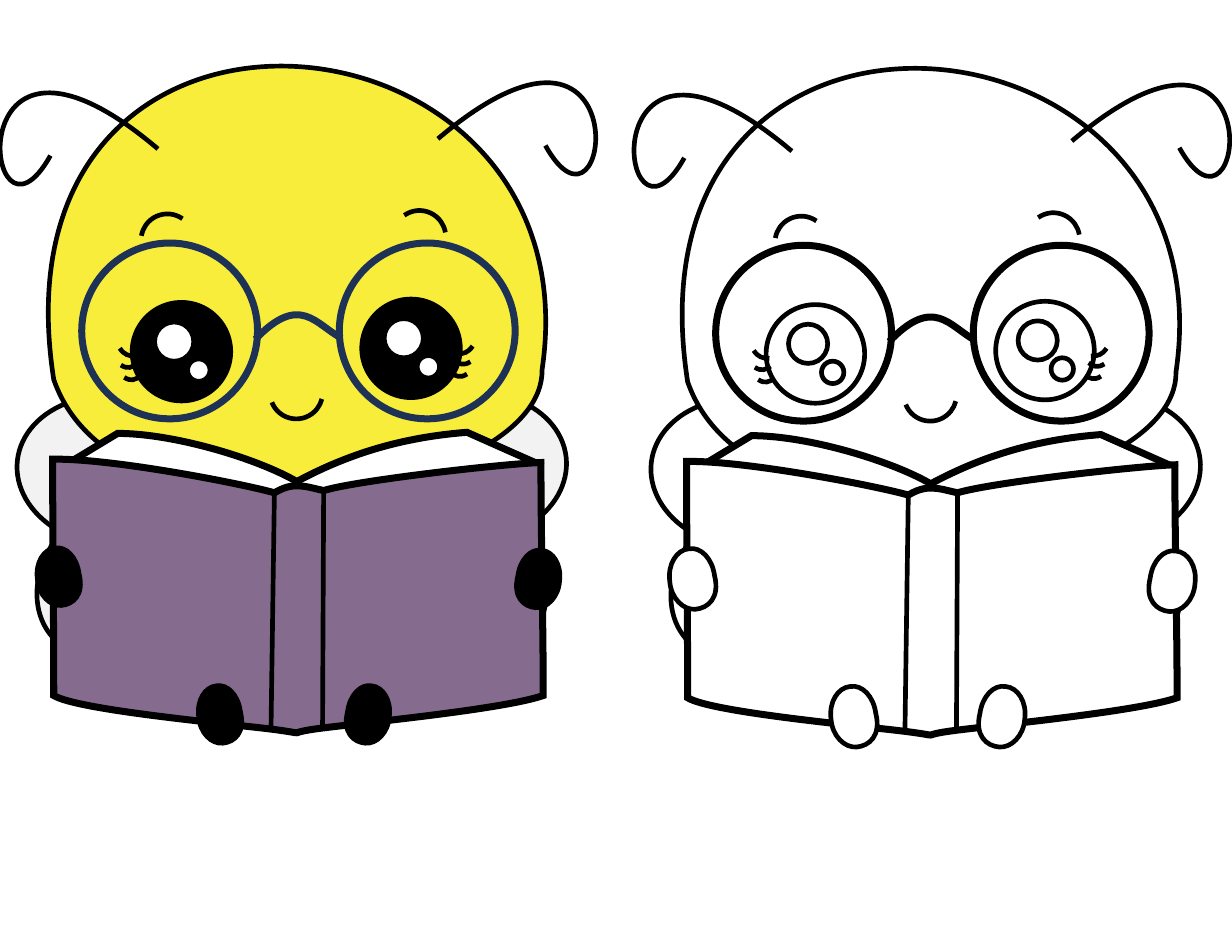
from dataclasses import dataclass
from typing import Optional, Union

from lxml.etree import SubElement
from pptx import Presentation
from pptx.dml.color import RGBColor
from pptx.enum.shapes import MSO_CONNECTOR as Connector, MSO_SHAPE as Preset
from pptx.oxml.ns import qn
from pptx.util import Inches, Pt

SLIDE_WIDTH, SLIDE_HEIGHT = Inches(11), Inches(8.5)
COLUMNS = 1100  # all lengths below are cells of a 1100 x 850 grid
CELL = SLIDE_WIDTH // COLUMNS
THIN, MEDIUM, THICK = 1, 3, 4.5
CURVE_STEPS = 24

COLORS = {"black": "000000", "white": "FFFFFF", "mist": "F2F2F2",
          "yellow": "F8ED3B", "plum": "856C8E", "navy": "1E3256"}


@dataclass(frozen=True)
class Scheme:
    """Where a bee sits and which colour each of its parts takes."""
    origin: tuple
    paints: dict
    limb_width: float


@dataclass(frozen=True)
class Preformed:
    kind: Preset
    box: tuple
    fill: Optional[str] = None
    line: str = "ink"
    width: float = MEDIUM
    turn: float = 0
    angles: tuple = ()


@dataclass(frozen=True)
class Outline:
    """A start point, then segments: 2 numbers for a line, 6 for a curve."""
    start: tuple
    segments: tuple
    fill: Optional[str] = None
    line: str = "ink"
    width: Optional[float] = MEDIUM
    closed: bool = False


@dataclass(frozen=True)
class Stroke:
    start: tuple
    end: tuple


Part = Union[Preformed, Outline, Stroke]


def pairs(numbers: tuple) -> list:
    return list(zip(numbers[::2], numbers[1::2]))


def placed(outline: Outline, x: float, y: float, mirror: Optional[float] = None) -> Outline:
    """Move an outline to x, y; mirror is the width it is reflected within."""
    def move(numbers: tuple) -> tuple:
        return tuple(n for px, py in pairs(numbers)
                     for n in (x + (px if mirror is None else mirror - px), y + py))
    return Outline(move(outline.start), tuple(move(s) for s in outline.segments),
                   outline.fill, outline.line, outline.width, outline.closed)


def oval(x: float, y: float, w: float, h: float, **style) -> Preformed:
    return Preformed(Preset.OVAL, (x, y, w, h), **style)


def arc(x: float, y: float, turn: float, angles: tuple) -> Preformed:
    return Preformed(Preset.ARC, (x, y, 47, 47), turn=turn, angles=angles)


def wing(x: float, y: float, turn: float, fill: str = "wing") -> Preformed:
    return oval(x, y, 168, 133, turn=turn, fill=fill)


def eye(x: float, y: float) -> list:
    return [oval(x, y, 88, 88, fill="eye"),
            oval(x + 20, y + 17.5, 35, 35, fill="page"),
            oval(x + 49.5, y + 50.5, 20, 20, fill="page")]


ANTENNA = Outline((141, 50), ((-43, -106, -14, 162, 45, 56),))
LASH = Outline((14, 0), ((10, 3, 6, 5, 0, 1),))
TOP_LASH = Outline((14, 7), ((8, 7, 4, 6, 0, 0),))
LIMB = Outline((0, 30), ((1, 45, 12, 56, 23, 55), (34, 54, 45, 45, 40, 25),
                         (38, 10, 28, -1, 17, 1), (6, 2, -2, 15, 0, 30)),
               fill="limb", width=None, closed=True)


def lashes(places: tuple, mirror: Optional[float] = None) -> list:
    return [placed(shape, x, y, mirror)
            for shape, (x, y) in zip((LASH, LASH, TOP_LASH), places)]


BEE: list[Part] = [
    wing(327, 445, 40.8, "low wing"), wing(338, 351, 353.6),
    wing(26, 447, 319.2), wing(15, 354, 6.4),
    Outline((167, 345), ((381, 332), (344, 428, 554, 521, 261, 625),
                         (-22, 537, 183, 386, 167, 345)), "body", closed=True),
    Outline((48, 339), ((-14, -58, 534, -7, 484, 330),
                        (486, 443, 107, 508, 48, 339)), "face", closed=True),
    placed(ANTENNA, 0, 83),
    arc(241, 327, 158.3, (129.4, 0)),
    *eye(118, 270),
    *lashes(((111, 336), (108, 325), (107, 311))),
    arc(126, 191, 305.2, (146.74, 0)),
    placed(ANTENNA, 391, 74, mirror=141),
    *eye(323, 267),
    *lashes(((403, 333), (406, 322), (408, 309)), mirror=14),
    arc(351, 188, 54.8, (108, 177.26)),
    Outline((123, 443), ((126, 445), (203, 496, 294, 501, 392, 457), (408, 450),
                         (412, 458), (417, 473, 421, 488, 420, 503), (418, 510),
                         (415, 511), (350, 538, 256, 585, 125, 512), (111, 503),
                         (110, 498), (110, 481, 114, 464, 121, 448), (123, 443)),
            "ink", closed=True),
    Outline((105, 387), ((156, 387, 231, 410, 265, 430), (317, 402, 366, 390, 417, 386),
                         (480, 414), (459, 434, 179, 480, 52, 419), (105, 387)),
            "page", width=THICK, closed=True),
    Outline((47, 410), ((99, 409, 217, 432, 245, 440), (262, 430, 271, 434, 289, 438),
                        (318, 429, 450, 414, 483, 413), (483, 482, 485, 552, 485, 621),
                        (451, 633, 328, 645, 288, 650), (248, 655, 282, 656, 242, 651),
                        (202, 646, 69, 634, 48, 621), (48, 551, 47, 480, 47, 410)),
            "cover", width=THICK, closed=True),
    Stroke((245, 440), (242, 651)), Stroke((289, 438), (288, 650)),
    *[oval(x, 217, 157, 157, line="frame", width=THICK) for x in (73, 303)],
    Outline((228, 303), ((268, 261, 282, 290, 305, 302),), line="frame", width=THICK),
    placed(LIMB, 32, 487), placed(LIMB, 460, 489, mirror=41),
    placed(LIMB, 176, 610), placed(LIMB, 308, 610, mirror=41),
]

COLORED = Scheme((0, 0), {
    "ink": "black", "low wing": "mist", "wing": "mist", "body": "yellow", "face": "yellow",
    "eye": "black", "page": "white", "cover": "plum", "frame": "navy", "limb": "black"}, THIN)
LINE_ART = Scheme((566, 2), {
    **dict.fromkeys(COLORED.paints, "white"),
    "ink": "black", "frame": "black", "low wing": "mist", "body": "yellow"}, MEDIUM)


def emu(point: tuple, scheme: Scheme) -> tuple:
    return tuple(round((n + o) * CELL) for n, o in zip(point, scheme.origin))


def paint(scheme: Scheme, role: str) -> RGBColor:
    return RGBColor.from_string(COLORS[scheme.paints[role]])


def trace(start: tuple, curve: list) -> list:
    """Points along a cubic curve, or the end point of a line."""
    if len(curve) == 1:
        return curve
    steps = [i / CURVE_STEPS for i in range(1, CURVE_STEPS + 1)]
    return [tuple((1 - t) ** 3 * a + 3 * (1 - t) ** 2 * t * b + 3 * (1 - t) * t ** 2 * c + t ** 3 * d
                  for a, b, c, d in zip(start, *curve)) for t in steps]


def add_outline(group, part: Outline, scheme: Scheme):
    """Size a freeform by its traced points, then give it true curves."""
    start = emu(part.start, scheme)
    curves = [[emu(p, scheme) for p in pairs(s)] for s in part.segments]
    builder = group.shapes.build_freeform(*start)
    pen = start
    for curve in curves:
        builder.add_line_segments(trace(pen, curve), close=False)
        pen = curve[-1]
    shape = builder.convert_to_shape()
    route = next(shape.element.iter(qn("a:path")))
    for child in list(route):
        route.remove(child)
    for points in [[start], *curves]:
        tag = "a:moveTo" if points[0] is start else "a:lnTo" if len(points) == 1 else "a:cubicBezTo"
        command = SubElement(route, qn(tag))
        for x, y in points:
            SubElement(command, qn("a:pt"), x=str(x - shape.left), y=str(y - shape.top))
    if part.closed:
        SubElement(route, qn("a:close"))
    return shape


def add_preformed(group, part: Preformed, scheme: Scheme):
    x, y, w, h = part.box
    shape = group.shapes.add_shape(part.kind, *emu((x, y), scheme), w * CELL, h * CELL)
    shape.rotation = part.turn
    for index, angle in enumerate(part.angles):
        shape.adjustments[index] = angle
    return shape


def add_stroke(group, part: Stroke, scheme: Scheme) -> None:
    line = group.shapes.add_connector(
        Connector.STRAIGHT, *emu(part.start, scheme), *emu(part.end, scheme))
    line.line.color.rgb = paint(scheme, "ink")
    line.line.width = Pt(MEDIUM)
    SubElement(line.element.spPr, qn("a:effectLst"))


def draw_bee(page, scheme: Scheme) -> None:
    group = page.shapes.add_group_shape()
    for part in BEE:
        if isinstance(part, Stroke):
            add_stroke(group, part, scheme)
            continue
        add = add_outline if isinstance(part, Outline) else add_preformed
        shape = add(group, part, scheme)
        shape.shadow.inherit = False
        if part.fill:
            shape.fill.solid()
            shape.fill.fore_color.rgb = paint(scheme, part.fill)
        else:
            shape.fill.background()
        shape.line.color.rgb = paint(scheme, part.line)
        shape.line.width = Pt(part.width or scheme.limb_width)
        SubElement(shape.element.spPr.find(qn("a:ln")), qn("a:miter"), lim="800000")


def main() -> None:
    deck = Presentation()
    deck.slide_width, deck.slide_height = SLIDE_WIDTH, SLIDE_HEIGHT
    page = deck.slides.add_slide(deck.slide_layouts[6])
    for scheme in (COLORED, LINE_ART):
        draw_bee(page, scheme)
    deck.save("out.pptx")


if __name__ == "__main__":
    main()
